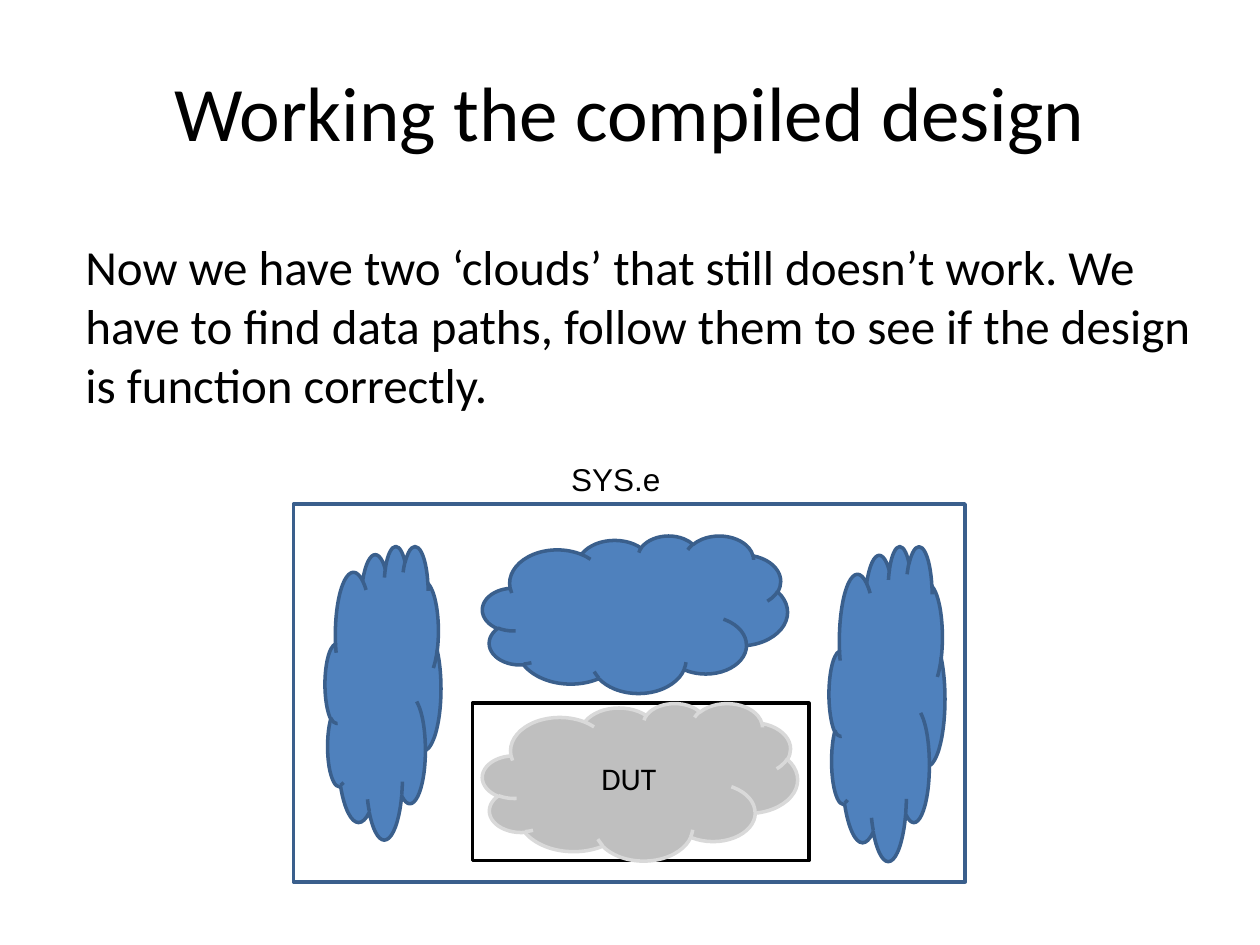
import pptx
import pptx.util
from pptx.dml.color import RGBColor
from pptx.enum.shapes import MSO_SHAPE
from pptx.enum.text import MSO_ANCHOR, PP_ALIGN
from pptx.util import Inches

BLACK = RGBColor(0x00, 0x00, 0x00)
BLUE = RGBColor(0x4F, 0x81, 0xBD)
DARK_BLUE = RGBColor(0x3A, 0x5F, 0x8C)
GRAY = RGBColor(0xBF, 0xBF, 0xBF)
LIGHT_GRAY = RGBColor(0xD9, 0xD9, 0xD9)

TITLE = "Working the compiled design"
BODY = (
    "Now we have two ‘clouds’ that still doesn’t work. We have to find data paths, "
    "follow them to see if the design is function correctly."
)

TEXTS = [
    (TITLE, (0.5, 0.25, 9, 1.25), 44, "Calibri", PP_ALIGN.CENTER, MSO_ANCHOR.MIDDLE, True),
    (BODY, (0.58, 1.83, 9, 5.42), 28, "Calibri", PP_ALIGN.LEFT, MSO_ANCHOR.TOP, True),
    ("SYS.e", (4.42, 3.6, 0.92, 0.4), 18, "Arial", PP_ALIGN.RIGHT, MSO_ANCHOR.TOP, False),
]

BLOCKS = [
    (MSO_SHAPE.RECTANGLE, (3.75, 5.58, 2.67, 1.25), None, BLACK, ""),
    (MSO_SHAPE.RECTANGLE, (2.33, 4, 5.33, 3), None, DARK_BLUE, ""),
    (MSO_SHAPE.CLOUD, (3.83, 5.58, 2.5, 1.25), GRAY, LIGHT_GRAY, "DUT"),
    (MSO_SHAPE.CLOUD, (2.58, 4.33, 0.92, 2.33), BLUE, DARK_BLUE, ""),
    (MSO_SHAPE.CLOUD, (3.83, 4.25, 2.42, 1.25), BLUE, DARK_BLUE, ""),
    (MSO_SHAPE.CLOUD, (6.58, 4.33, 0.92, 2.5), BLUE, DARK_BLUE, ""),
]


def write_text(shape, text, size, font_name, alignment, anchor, wrap):
    frame = shape.text_frame
    frame.word_wrap = wrap
    frame.vertical_anchor = anchor
    paragraph = frame.paragraphs[0]
    paragraph.text = text
    paragraph.alignment = alignment
    paragraph.font.size = pptx.util.Pt(size)
    paragraph.font.name = font_name
    paragraph.font.color.rgb = BLACK


def add_block(slide, kind, box, fill, line, label):
    shape = slide.shapes.add_shape(kind, *map(Inches, box))
    shape.shadow.inherit = False
    if fill is None:
        shape.fill.background()
    else:
        shape.fill.solid()
        shape.fill.fore_color.rgb = fill
    shape.line.color.rgb = line
    shape.line.width = pptx.util.Pt(2)
    if label:
        write_text(shape, label, 18, "Calibri", PP_ALIGN.CENTER, MSO_ANCHOR.MIDDLE, True)


def main():
    presentation = pptx.Presentation()
    presentation.slide_width = Inches(10)
    presentation.slide_height = Inches(7.5)
    slide = presentation.slides.add_slide(presentation.slide_layouts[6])
    for block in BLOCKS:
        add_block(slide, *block)
    for text, box, *style in TEXTS:
        write_text(slide.shapes.add_textbox(*map(Inches, box)), text, *style)
    presentation.save("out.pptx")


if __name__ == "__main__":
    main()
